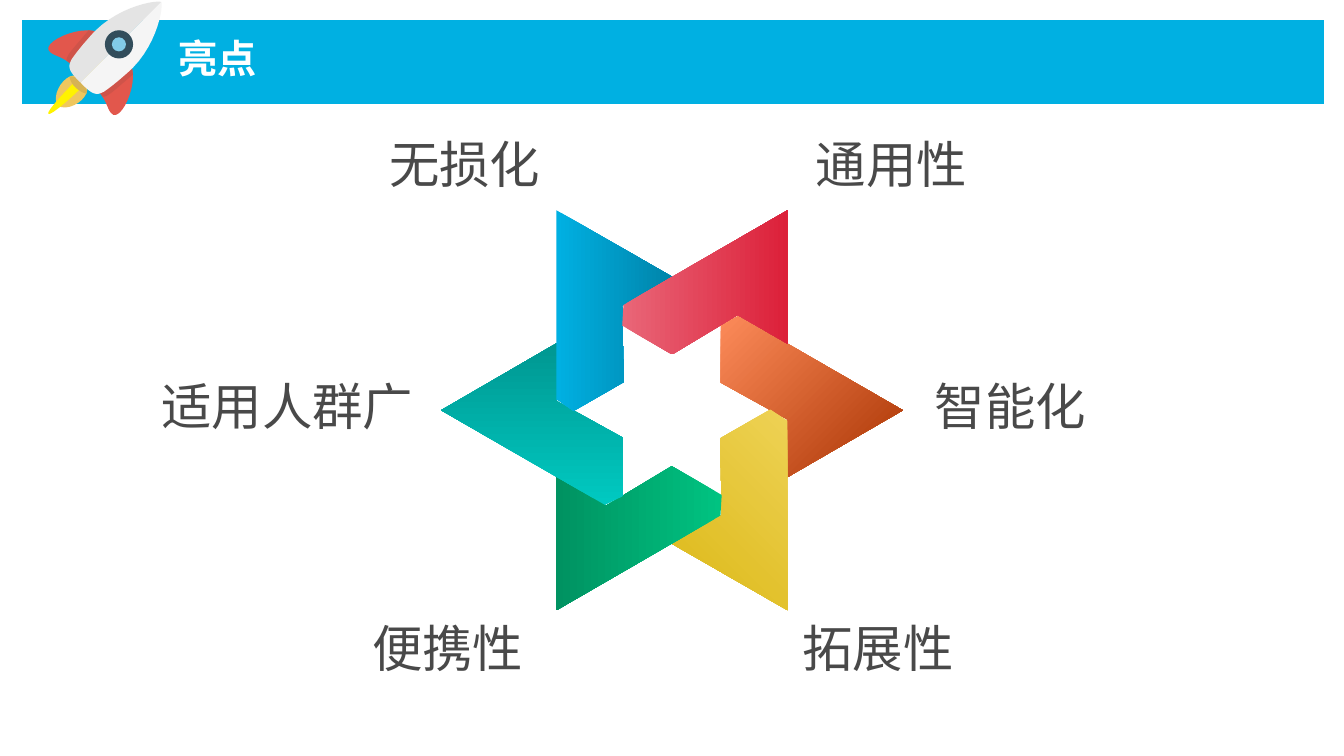
from dataclasses import dataclass
from math import cos, radians, sin
from typing import Optional

from pptx import Presentation
from pptx.dml.color import RGBColor
from pptx.enum.shapes import MSO_SHAPE as Kind
from pptx.enum.text import MSO_ANCHOR as Anchor, MSO_AUTO_SIZE as Fit, PP_ALIGN as Align
from pptx.oxml.ns import qn
from pptx.slide import Slide
from pptx.text.text import TextFrame
from pptx.util import Inches, Pt

Point = tuple[float, float]
tint = RGBColor.from_string

WIDE, HIGH = Inches(13.33), Inches(7.5)
CELL = WIDE / 1333
HUB = (0.5 * WIDE, 0.5427 * HIGH)
REACH = 0.1718 * WIDE
STEPS = 12
FOLD = 162
EYE = (118, 44)
CJK = "Noto Sans CJK SC"

SKY = tint("00B0E2")
NAVY = tint("0084AA")
PINK = tint("E96678")
CRIMSON = tint("DC2039")
PEACH = tint("FD8B5A")
RUST = tint("A93402")
LEMON = tint("EED255")
GOLD = tint("DCB816")
MINT = tint("00C381")
GREEN = tint("009261")
AQUA = tint("00C9C1")
TEAL = tint("009791")
FLAME = tint("EFC75E")
EMBER = tint("D7B354")
SPARK = tint("FFF300")
FIN = tint("E2574C")
SHADE = tint("CF5349")
HULL = tint("F5F5F5")
SIDE = tint("E4E4E4")
FRAME = tint("324D5B")
GLASS = tint("82CBE8")
WHITE = tint("FFFFFF")
GREY = tint("494949")


@dataclass
class Part:
    fill: RGBColor
    start: Point
    moves: list[tuple[int, ...]]
    twin: Optional[RGBColor] = None


@dataclass
class Disc:
    fill: RGBColor
    span: int


@dataclass
class Blade:
    first: RGBColor
    last: RGBColor
    slant: int


@dataclass
class Label:
    text: str
    right: float
    row: int


BLADE = [(1, 0), (0.5, 0.29), (0.5, 0.04), (0.21, -0.12), (0.21, -0.37), (0.29, -0.41)]

BLADES = [
    Blade(PEACH, RUST, 45),
    Blade(LEMON, GOLD, 135),
    Blade(MINT, GREEN, 180),
    Blade(AQUA, TEAL, 270),
    Blade(SKY, NAVY, 0),
    Blade(PINK, CRIMSON, 0),
]

LABELS = [
    Label("无损化", 0.4058, 0),
    Label("适用人群广", 0.3113, 1),
    Label("通用性", 0.7232, 0),
    Label("拓展性", 0.7134, 2),
    Label("智能化", 0.8117, 1),
    Label("便携性", 0.3931, 2),
]

ROCKET = [
    Part(FLAME, (81, 80), [(98, 90, 72, 113, 57, 105), (49, 90, 72, 64, 81, 80)]),
    Part(FIN, (97, 32), [(79, 24, 38, 43, 50, 52), (55, 56, 62, 56, 72, 65),
                         (71, 61, 85, 46, 97, 32)], FIN),
    Part(SHADE, (88, 30), [(75, 46, 66, 54, 66, 60), (70, 63), (70, 57, 80, 48, 93, 31)], SHADE),
    Part(SPARK, (103, 59), [(108, 64, 51, 117, 48, 113), (44, 110, 98, 55, 103, 59)]),
    Part(EMBER, (69, 76), [(70, 85, 80, 92, 86, 93), (87, 80, 78, 75, 69, 76)]),
    Part(SIDE, (160, 2), [(80, 82), (66, 69, 68, 65, 71, 59), (73, 56, 80, 46, 95, 30),
                          (121, 5, 156, 0, 160, 2)], HULL),
]

DISCS = [Disc(FRAME, 28), Disc(GLASS, 14)]


def curve(knots: list[Point], t: float) -> Point:
    while len(knots) > 1:
        knots = [(a + (c - a) * t, b + (d - b) * t)
                 for (a, b), (c, d) in zip(knots, knots[1:])]
    return knots[0]


def trace(part: Part) -> list[Point]:
    pts = [part.start]
    for move in part.moves:
        knots = [pts[-1], *zip(move[::2], move[1::2])]
        pts += [curve(knots, step / STEPS) for step in range(1, STEPS + 1)]
    return pts


def spin(turn: int) -> list[Point]:
    c, s = cos(radians(turn)), sin(radians(turn))
    return [(HUB[0] + REACH * (x * c - y * s), HUB[1] + REACH * (x * s + y * c))
            for x, y in BLADE]


def outline(slide: Slide, pts: list[Point]):
    spots = [(round(x), round(y)) for x, y in pts]
    pen = slide.shapes.build_freeform(*spots[0])
    pen.add_line_segments(spots[1:], close=True)
    shape = pen.convert_to_shape()
    shape.shadow.inherit = False
    shape.line.fill.background()
    return shape


def paint(shape, fill: RGBColor) -> None:
    shape.fill.solid()
    shape.fill.fore_color.rgb = fill


def preset(slide: Slide, kind: Kind, box: tuple[float, ...], fill: RGBColor) -> None:
    shape = slide.shapes.add_shape(kind, *map(round, box))
    shape.shadow.inherit = False
    shape.line.fill.background()
    paint(shape, fill)


def draw_part(slide: Slide, part: Part) -> None:
    pts = trace(part)
    paint(outline(slide, [(x * CELL, y * CELL) for x, y in pts]), part.fill)
    if part.twin:
        flip = [((FOLD - y) * CELL, (FOLD - x) * CELL) for x, y in pts]
        paint(outline(slide, flip), part.twin)


def draw_disc(slide: Slide, disc: Disc) -> None:
    left, top = (CELL * (mid - disc.span / 2) for mid in EYE)
    size = CELL * disc.span
    preset(slide, Kind.OVAL, (left, top, size, size), disc.fill)


def draw_blade(slide: Slide, blade: Blade, turn: int) -> None:
    fill = outline(slide, spin(turn)).fill
    fill.gradient()
    fill.gradient_angle = (360 - blade.slant) % 360
    for stop, tone in zip(fill.gradient_stops, (blade.first, blade.last)):
        stop.color.rgb = tone


def style(frame: TextFrame, text: str, align: Align, face: str, size: int, tone: RGBColor,
          bold: bool = False) -> None:
    frame.margin_left = frame.margin_right = Inches(0.05)
    frame.margin_top = frame.margin_bottom = Inches(0.05)
    frame.text = text
    para = frame.paragraphs[0]
    para.alignment = align
    font = para.runs[0].font
    font.name, font.size, font.bold = face, Pt(size), bold
    font.color.rgb = tone
    latin = font._element.find(qn("a:latin"))
    latin.addnext(latin.makeelement(qn("a:ea"), {"typeface": CJK}))


def draw_label(slide: Slide, label: Label) -> None:
    width = WIDE * (0.0083 + 0.0375 * len(label.text))
    box = (WIDE * label.right - width, HIGH * (0.1693 + 0.32 * label.row), width, HIGH * 0.1053)
    frame = slide.shapes.add_textbox(*map(round, box)).text_frame
    frame.word_wrap = False
    frame.auto_size = Fit.SHAPE_TO_FIT_TEXT
    style(frame, label.text, Align.RIGHT, CJK, 36, GREY)


def draw_title(slide: Slide) -> None:
    title = slide.shapes.title
    title._element.getparent().append(title._element)
    title.left, title.top = round(WIDE * 0.129), round(HIGH * 0.0267)
    title.width, title.height = round(WIDE * 0.8627), round(HIGH * 0.1067)
    frame = title.text_frame
    frame.auto_size = Fit.NONE
    frame.vertical_anchor = Anchor.MIDDLE
    style(frame, "亮点", Align.LEFT, "Arial", 28, WHITE, True)
    frame.paragraphs[0].line_spacing = 0.9


def main() -> None:
    deck = Presentation()
    deck.slide_width, deck.slide_height = WIDE, HIGH
    slide = deck.slides.add_slide(deck.slide_layouts[5])
    bar = (WIDE * 0.0165, HIGH * 0.0267, WIDE * 0.9685, HIGH * 0.1107)
    preset(slide, Kind.RECTANGLE, bar, SKY)
    for part in ROCKET:
        draw_part(slide, part)
    for disc in DISCS:
        draw_disc(slide, disc)
    for place, blade in enumerate(BLADES):
        draw_blade(slide, blade, 60 * place)
    draw_title(slide)
    for label in LABELS:
        draw_label(slide, label)
    deck.save("out.pptx")


if __name__ == "__main__":
    main()
